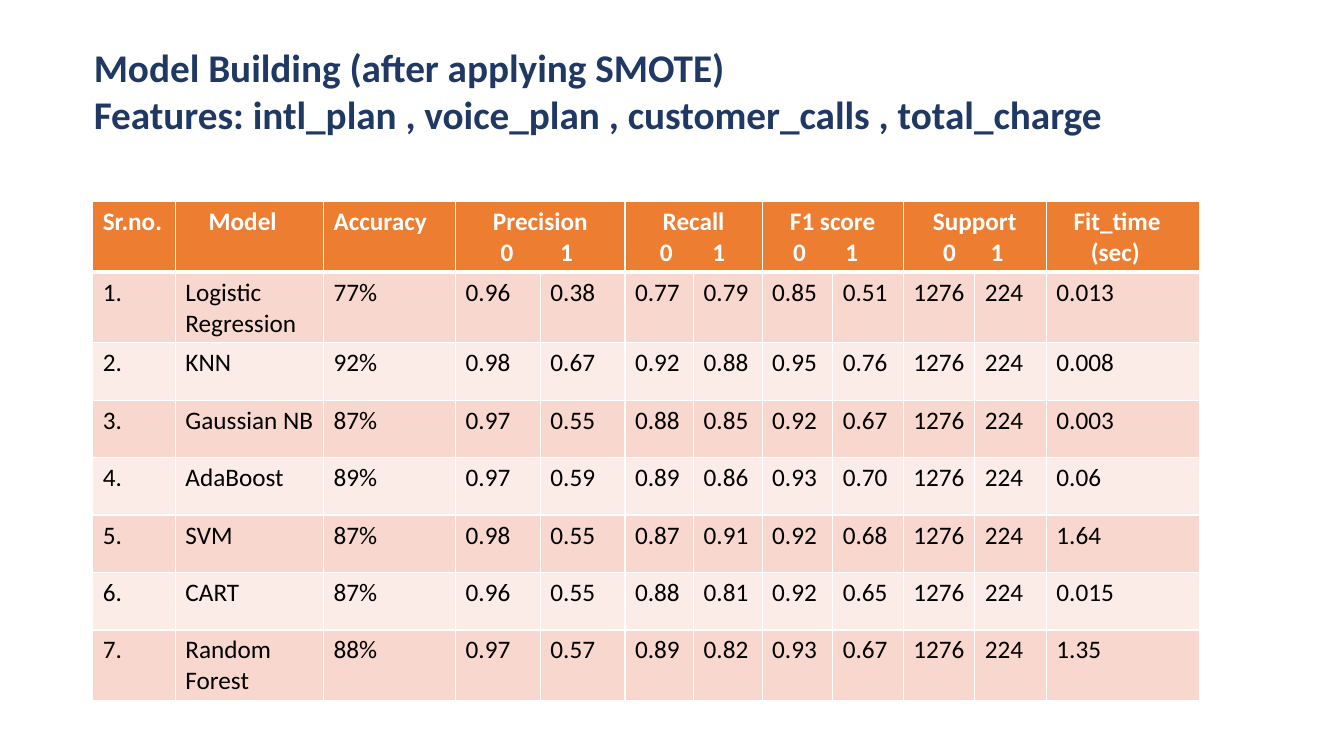
from dataclasses import dataclass

from lxml.etree import SubElement
from pptx import Presentation
from pptx.dml.color import RGBColor
from pptx.enum.text import MSO_ANCHOR, MSO_AUTO_SIZE, PP_ALIGN
from pptx.oxml.ns import qn
from pptx.util import Inches, Pt

COLORS = {
    "title": "203864",
    "header": "ED7D31",
    "odd": "F8D7CE",
    "even": "FCECE8",
    "header_text": "FFFFFF",
    "body_text": "000000",
    "border": "FFFFFF",
}
FONT = "Calibri"
COLUMN_WIDTHS = (0.82, 1.47, 1.31, 0.84, 0.84, 0.68, 0.68, 0.7, 0.7, 0.71, 0.71, 1.52)
HEADER_HEIGHT, MODEL_HEIGHT = 0.59, 0.57


@dataclass(frozen=True)
class Heading:
    """A column heading, with class tab stops if it covers two columns."""

    column: int
    lines: tuple[str, ...]
    indents: tuple[float, ...] = (0, 0)
    class_stops: tuple[float, ...] = ()


@dataclass(frozen=True)
class ModelResult:
    """The scores of one model; pairs hold classes 0 and 1."""

    model: str
    accuracy: str
    precision: tuple[str, str]
    recall: tuple[str, str]
    f1_score: tuple[str, str]
    fit_time: str
    support: tuple[str, str] = ("1276", "224")

    def values(self, number: int) -> list[str]:
        """Return the texts of the table row."""
        return [f"{number}.", self.model, self.accuracy, *self.precision,
                *self.recall, *self.f1_score, *self.support, self.fit_time]


HEADINGS = (
    Heading(0, ("Sr.no.",)),
    Heading(1, ("Model",), (0.23,)),
    Heading(2, ("Accuracy",)),
    Heading(3, ("Precision", "\t0\t1"), class_stops=(0.41, 1.0)),
    Heading(5, ("Recall", "\t0\t1"), class_stops=(0.31, 0.83)),
    Heading(7, ("F1 score", "\t0\t1"), class_stops=(0.27, 0.79)),
    Heading(9, ("Support", "\t0\t1"), class_stops=(0.36, 0.83)),
    Heading(11, ("Fit_time", "(sec)"), (0.17, 0.34)),
)
RESULTS = (
    ModelResult("Logistic Regression", "77%", ("0.96", "0.38"), ("0.77", "0.79"), ("0.85", "0.51"), "0.013"),
    ModelResult("KNN", "92%", ("0.98", "0.67"), ("0.92", "0.88"), ("0.95", "0.76"), "0.008"),
    ModelResult("Gaussian NB", "87%", ("0.97", "0.55"), ("0.88", "0.85"), ("0.92", "0.67"), "0.003"),
    ModelResult("AdaBoost", "89%", ("0.97", "0.59"), ("0.89", "0.86"), ("0.93", "0.70"), "0.06"),
    ModelResult("SVM", "87%", ("0.98", "0.55"), ("0.87", "0.91"), ("0.92", "0.68"), "1.64"),
    ModelResult("CART", "87%", ("0.96", "0.55"), ("0.88", "0.81"), ("0.92", "0.65"), "0.015"),
    ModelResult("Random Forest", "88%", ("0.97", "0.57"), ("0.89", "0.82"), ("0.93", "0.67"), "1.35"),
)


def format_text(text_frame, size: float, color: str, bold: bool) -> None:
    """Give every run of a text frame the same font."""
    for paragraph in text_frame.paragraphs:
        for run in paragraph.runs:
            run.font.name = FONT
            run.font.size = Pt(size)
            run.font.bold = bold
            run.font.color.rgb = RGBColor.from_string(COLORS[color])


def style_cell(cell, fill: str, top: float, bottom: float) -> None:
    """Set the borders and the fill of a cell."""
    properties = cell._tc.get_or_add_tcPr()
    for side, width in (("lnL", 1), ("lnR", 1), ("lnT", top), ("lnB", bottom)):
        border = SubElement(properties, qn(f"a:{side}"), w=str(Pt(width)))
        SubElement(SubElement(border, qn("a:solidFill")), qn("a:srgbClr"), val=COLORS["border"])
    cell.fill.solid()
    cell.fill.fore_color.rgb = RGBColor.from_string(COLORS[fill])


def add_heading(table, heading: Heading) -> None:
    """Write a heading and line up its class labels."""
    cell = table.cell(0, heading.column)
    if heading.class_stops:
        cell.merge(table.cell(0, heading.column + 1))
    cell.text_frame.text = "\n".join(heading.lines)
    for paragraph, indent in zip(cell.text_frame.paragraphs, heading.indents):
        properties = paragraph._p.get_or_add_pPr()
        if indent:
            properties.set("marL", str(Inches(indent)))
        if "\t" in paragraph.text:
            stops = SubElement(properties, qn("a:tabLst"))
            for position in heading.class_stops:
                SubElement(stops, qn("a:tab"), pos=str(Inches(position)), algn="ctr")
        elif heading.class_stops:
            paragraph.alignment = PP_ALIGN.CENTER
    format_text(cell.text_frame, 18, "header_text", True)


def add_results(slide) -> None:
    """Draw the table of model scores."""
    height = HEADER_HEIGHT + MODEL_HEIGHT * len(RESULTS)
    table = slide.shapes.add_table(
        len(RESULTS) + 1, len(COLUMN_WIDTHS), Inches(0.92), Inches(2),
        Inches(sum(COLUMN_WIDTHS)), Inches(height)).table
    for column, width in zip(table.columns, COLUMN_WIDTHS):
        column.width = Inches(width)
    for number, row in enumerate(table.rows):
        row.height = Inches(MODEL_HEIGHT if number else HEADER_HEIGHT)
        fill = ("even", "odd")[number % 2] if number else "header"
        for cell in row.cells:
            style_cell(cell, fill, 3 if number == 1 else 1, 1 if number else 3)
    for heading in HEADINGS:
        add_heading(table, heading)
    for number, result in enumerate(RESULTS, start=1):
        for cell, value in zip(table.rows[number].cells, result.values(number)):
            cell.text_frame.text = value
            format_text(cell.text_frame, 18, "body_text", False)


def add_title(slide) -> None:
    """Place the title and its list of features."""
    title = slide.shapes.title
    title.left, title.top = Inches(0.83), Inches(0.38)
    title.width, title.height = Inches(10.85), Inches(1.04)
    title.text_frame.text = (
        "Model Building (after applying SMOTE)\n"
        "Features: intl_plan , voice_plan , customer_calls , total_charge")
    title.text_frame.word_wrap = True
    title.text_frame.auto_size = MSO_AUTO_SIZE.SHAPE_TO_FIT_TEXT
    title.text_frame.vertical_anchor = MSO_ANCHOR.TOP
    for paragraph in title.text_frame.paragraphs:
        paragraph.alignment = PP_ALIGN.LEFT
    format_text(title.text_frame, 28, "title", True)


def main() -> None:
    """Build and save the slide."""
    presentation = Presentation()
    presentation.slide_width = Inches(13.33)
    presentation.slide_height = Inches(7.5)
    slide = presentation.slides.add_slide(presentation.slide_layouts[5])
    add_title(slide)
    add_results(slide)
    presentation.save("out.pptx")


if __name__ == "__main__":
    main()
